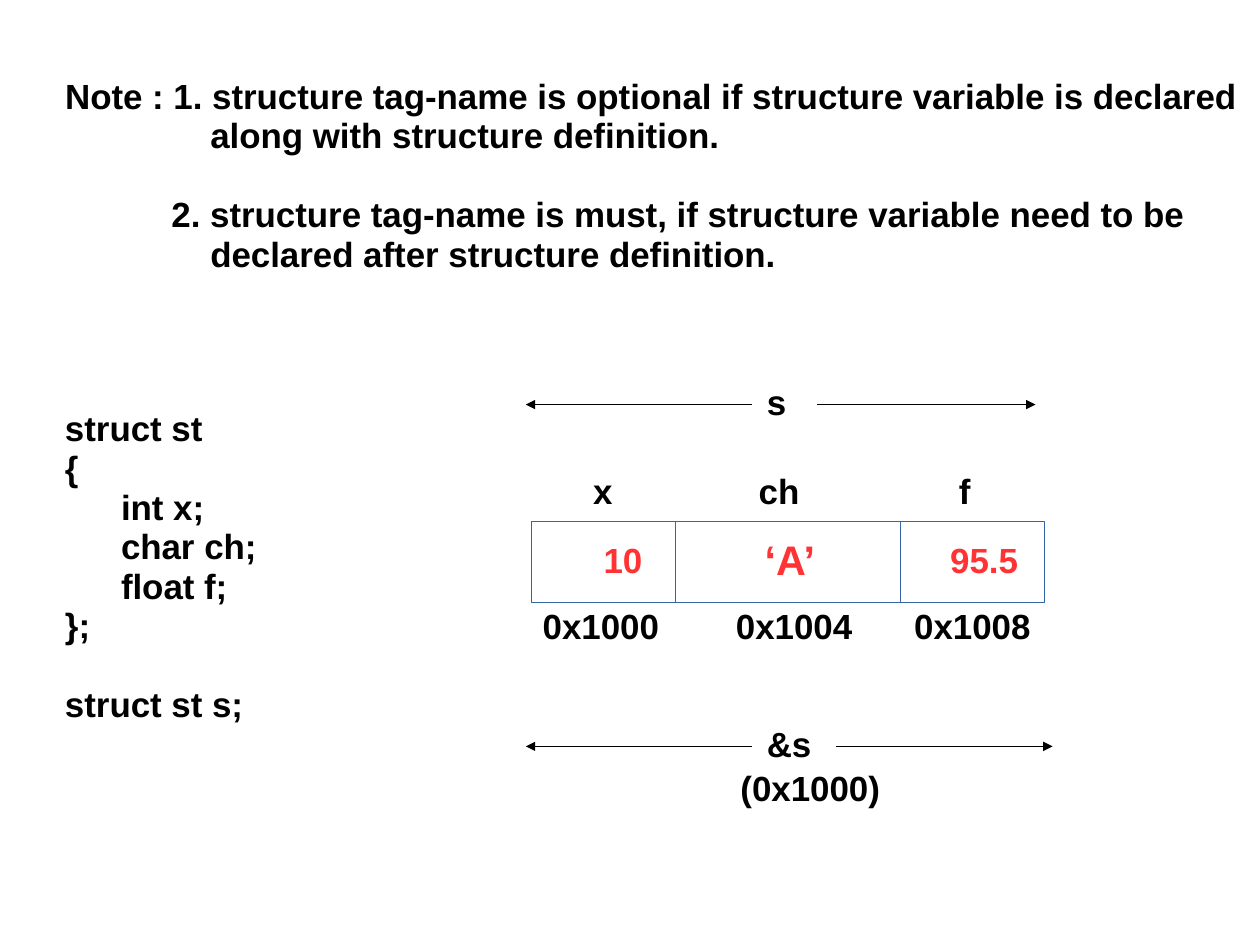
import pptx
import pptx.util
import pptx.dml.color
import pptx.enum.shapes
import pptx.enum.text
import pptx.oxml.ns
import lxml.etree

Inches = pptx.util.Inches
Pt = pptx.util.Pt
ALIGN = pptx.enum.text.PP_ALIGN
COLORS = {"paper": "FFFFFF", "text": "000000", "value": "FF3333", "cell line": "3465A4"}
FONT = "Arial"
SIZE = 22
LINE_SPACING = 0.94
BLANK_LINE = 25
CM_PER_INCH = 2.54

NOTES = [
    "Note : 1. structure tag-name is optional if structure variable is declared"
    " along with structure definition.",
    "2. structure tag-name is must, if structure variable need to be"
    " declared after structure definition.",
]
CODE = ["struct st", "{", "\tint x;", "\tchar ch;", "\tfloat f;", "};", "struct st s;"]
# name, value, address, cell width, value size, value inset, name offset, address offset
MEMBERS = [
    ("x", "10", "0x1000", 1.26, 22, 0.44, 0.44, 0),
    ("ch", "‘A’", "0x1004", 1.97, 26, 0.13, 0.63, 0.43),
    ("f", "95.5", "0x1008", 1.26, 22, 0.3, 0.41, 0.02),
]


def rgb(name):
    return pptx.dml.color.RGBColor.from_string(COLORS[name])


def style(paragraph, color="text", size=SIZE):
    paragraph.line_spacing = LINE_SPACING
    for run in paragraph.runs:
        run.font.name = FONT
        run.font.size = Pt(size)
        run.font.bold = True
        run.font.color.rgb = rgb(color)


def add_label(slide, text, left, top, width):
    label = slide.shapes.add_textbox(Inches(left), Inches(top), Inches(width), Inches(0.47))
    label.text_frame.text = text
    style(label.text_frame.paragraphs[0])


def add_arrow(slide, start, end, y):
    arrow = slide.shapes.add_connector(
        pptx.enum.shapes.MSO_CONNECTOR.STRAIGHT,
        Inches(start), Inches(y), Inches(end), Inches(y))
    arrow.line.color.rgb = rgb("text")
    arrow.line.width = Pt(0.75)
    line = arrow.line._get_or_add_ln()
    lxml.etree.SubElement(line, pptx.oxml.ns.qn("a:tailEnd"), type="triangle")
    lxml.etree.SubElement(arrow._element.spPr, pptx.oxml.ns.qn("a:effectLst"))


def add_notes(slide, left, top, width, height):
    notes = slide.placeholders[1]
    notes.left, notes.top = Inches(left), Inches(top)
    notes.width, notes.height = Inches(width), Inches(height)
    frame = notes.text_frame
    frame.text = "\n".join(NOTES)
    frame.auto_size = pptx.enum.text.MSO_AUTO_SIZE.NONE
    frame.word_wrap = True
    frame.margin_right = 0
    # Both notes hang from the same indent; the first also carries "Note :"
    for paragraph, hang, gap in zip(frame.paragraphs, (1.27, 0.34), (0, BLANK_LINE)):
        properties = paragraph._p.get_or_add_pPr()
        properties.set("marL", str(Inches(1.27)))
        properties.set("indent", str(-Inches(hang)))
        lxml.etree.SubElement(properties, pptx.oxml.ns.qn("a:buNone"))
        paragraph.space_before = Pt(gap)
        style(paragraph)


def add_code(slide, left, top, width, height):
    code = slide.shapes.add_textbox(Inches(left), Inches(top), Inches(width), Inches(height))
    frame = code.text_frame
    frame.text = "\n".join(CODE)
    for paragraph in frame.paragraphs:
        tabs = lxml.etree.SubElement(paragraph._p.get_or_add_pPr(), pptx.oxml.ns.qn("a:tabLst"))
        lxml.etree.SubElement(tabs, pptx.oxml.ns.qn("a:tab"), pos=str(Inches(0.49)), algn="l")
        style(paragraph)
    frame.paragraphs[-1].space_before = Pt(BLANK_LINE)


def add_cell(slide, text, left, top, width, height, size, inset):
    cell = slide.shapes.add_shape(
        pptx.enum.shapes.MSO_SHAPE.RECTANGLE,
        Inches(left), Inches(top), Inches(width), Inches(height))
    cell.shadow.inherit = False
    cell.fill.solid()
    cell.fill.fore_color.rgb = rgb("paper")
    cell.line.color.rgb = rgb("cell line")
    cell.line.width = Pt(0.75)
    frame = cell.text_frame
    frame.text = text
    frame.margin_left = Inches(inset)
    frame.vertical_anchor = pptx.enum.text.MSO_ANCHOR.MIDDLE
    frame.paragraphs[0].alignment = ALIGN.CENTER
    style(frame.paragraphs[0], "value", size)


def add_memory(slide, left, top, height):
    for name, value, address, width, size, inset, name_x, address_x in MEMBERS:
        add_cell(slide, value, left, top, width, height, size, inset)
        add_label(slide, name, left + name_x, top - 0.47, 0.6)
        add_label(slide, address, left + address_x, top + height, 1.22)
        left += width


def add_extent(slide, text, left, y, right_start, right_end):
    add_label(slide, text, left + 2.01, y - 0.23, 0.59)
    add_arrow(slide, left + 1.98, left, y)
    add_arrow(slide, right_start, right_end, y)


def main():
    # A 28 by 21 cm page
    deck = pptx.Presentation()
    deck.slide_width = Inches(28 / CM_PER_INCH)
    deck.slide_height = Inches(21 / CM_PER_INCH)
    deck.element.sldSz.attrib.pop("type", None)
    slide = deck.slides.add_slide(deck.slide_layouts[1])
    title = slide.shapes.title._element
    title.getparent().remove(title)

    # Rules and the declaration
    add_notes(slide, 0.47, 0.63, 10.47, 1.84)
    add_code(slide, 0.47, 3.54, 1.88, 2.88)

    # Memory layout of s, with its extent above and its address below
    add_memory(slide, 4.65, 4.56, 0.71)
    add_extent(slide, "s", 4.6, 3.54, 7.15, 9.06)
    add_extent(slide, "&s", 4.6, 6.53, 7.31, 9.21)
    add_label(slide, "(0x1000)", 6.38, 6.69, 1.42)

    deck.save("out.pptx")


if __name__ == "__main__":
    main()
